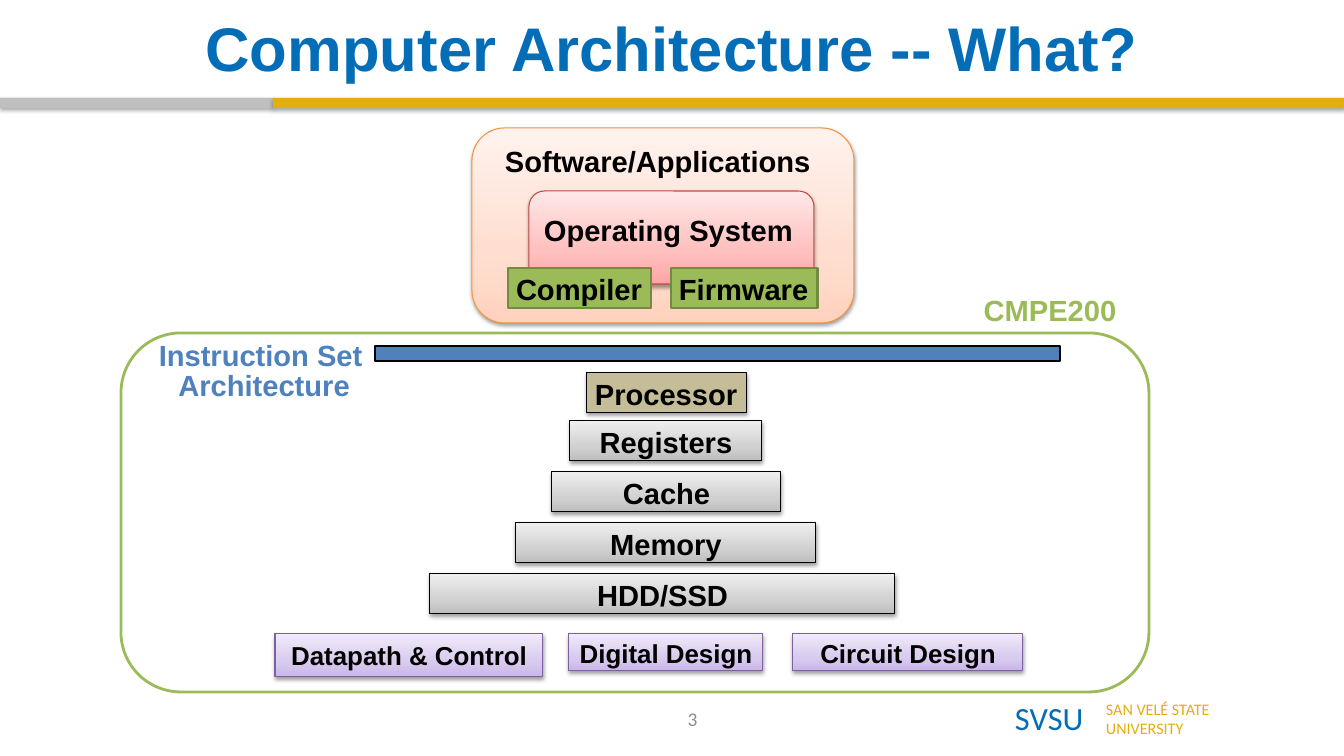
from copy import deepcopy

from lxml.etree import SubElement
from pptx import Presentation
from pptx.dml.color import RGBColor
from pptx.enum.shapes import MSO_SHAPE as Preset
from pptx.enum.text import MSO_ANCHOR as Anchor, MSO_AUTO_SIZE as AutoSize, PP_ALIGN as Align
from pptx.oxml.ns import qn
from pptx.util import Emu, Pt

EMU_PER_PX = 914400 / 100.8

COLORS = {
    "black": "000000", "white": "FFFFFF", "title": "036DB7", "gold": "E7AC11",
    "silver": "BFBFBF", "number": "8C8C8C", "green": "9BBB59",
    "green_edge": "738A42", "blue": "4F81BD", "tan": "C4BD97",
    "orange_edge": "F69240", "red_edge": "BF4C48", "purple_edge": "7D60A0",
}
# Gradients run from bottom to top, with stops at 0, 35 and 100 %
GRADIENTS = {
    "orange": ("FFD2BD", "FFDED0", "FFF2ED"),
    "red": ("FFA6A5", "FFC0BF", "FFE7E7"),
    "purple": ("C9B5E8", "D8CBEE", "F0EAF9"),
    "gray": ("BDBDBD", "D1D1D1", "EEEEEE"),
}
STOPS = (0, 0.35, 1)
LABEL_SIZE = 20.8
DESIGN_SIZE = 18.5


def px(*lengths):
    return [Emu(round(length * EMU_PER_PX)) for length in lengths]


def rgb(name):
    return RGBColor.from_string(COLORS[name])


def set_fill(shape, name):
    fill = shape.fill
    if name not in GRADIENTS:
        fill.solid()
        fill.fore_color.rgb = rgb(name)
        return
    fill.gradient()
    fill.gradient_angle = 90
    stop_list = next(shape._element.spPr.iter(qn("a:gsLst")))
    stop_list.append(deepcopy(stop_list[0]))
    for stop, position, color in zip(fill.gradient_stops, STOPS, GRADIENTS[name]):
        stop.position = position
        stop.color.rgb = RGBColor.from_string(color)


def add_shadow(shape, opacity=38):
    effects = shape._element.spPr.find(qn("a:effectLst"))
    shadow = SubElement(effects, qn("a:outerShdw"), blurRad=str(Pt(3.1)),
                        dist=str(Pt(1.6)), dir="5400000", rotWithShape="0")
    color = SubElement(shadow, qn("a:srgbClr"), val=COLORS["black"])
    SubElement(color, qn("a:alpha"), val=str(opacity * 1000))


def set_text(shape, text, size=LABEL_SIZE, color="black", font="Arial", bold=True,
             align=Align.LEFT, spacing=1.02, insets=(8, 3), wrap=False,
             anchor=Anchor.TOP, grow=True):
    frame = shape.text_frame
    frame.word_wrap = wrap
    frame.auto_size = AutoSize.SHAPE_TO_FIT_TEXT if grow else AutoSize.NONE
    frame.vertical_anchor = anchor
    frame.margin_left, frame.margin_top = px(*insets)
    frame.margin_right, frame.margin_bottom = px(*insets)
    frame.text = text
    for paragraph in frame.paragraphs:
        paragraph.alignment = align
        paragraph.line_spacing = spacing
        paragraph.font.name = font
        paragraph.font.size = Pt(size)
        paragraph.font.bold = bold
        paragraph.font.color.rgb = rgb(color)


def add_text(slide, box, text, **style):
    set_text(slide.shapes.add_textbox(*px(*box)), text, **style)


def add_block(slide, box, fill, edge=None, weight=0.75, preset=Preset.RECTANGLE,
              shadow=38):
    shape = slide.shapes.add_shape(preset, *px(*box))
    shape.shadow.inherit = False
    set_fill(shape, fill)
    if edge:
        shape.line.color.rgb = rgb(edge)
        shape.line.width = Pt(weight)
    else:
        shape.line.fill.background()
    if shadow:
        add_shadow(shape, shadow)
    return shape


def add_frame(slide):
    # University name, title, two-colour rule and slide number
    plain = dict(bold=False, font="Calibri", spacing=1, insets=(10, 5))
    add_text(slide, (1005, 693, 91, 49), "SVSU", size=23.1, color="title", **plain)
    add_text(slide, (1096, 694, 127, 49), "SAN VELÉ STATE\nUNIVERSITY",
             size=11.5, color="gold", **plain)
    for left, width, color in ((0, 273, "silver"), (273, 1071, "gold")):
        add_block(slide, (left, 98, width, 10), color, shadow=35)
    centered = dict(align=Align.CENTER, anchor=Anchor.MIDDLE, wrap=True, grow=False)
    add_text(slide, (132, 8, 1080, 77), "Computer Architecture -- What?", size=44,
             color="title", spacing=1, **centered)
    add_text(slide, (536, 699, 313, 40), "3", size=13.8, color="number",
             **plain, **centered)


def add_software(slide):
    # Applications around the operating system, with the tools below
    rounded = Preset.ROUNDED_RECTANGLE
    add_block(slide, (472, 128, 382, 195), "orange", "orange_edge", preset=rounded)
    add_text(slide, (497, 140, 324, 40), "Software/Applications")
    add_block(slide, (529, 191, 285, 93), "red", "red_edge", preset=rounded)
    add_text(slide, (536, 209, 267, 40), "Operating System")
    for left, width, name in ((508, 143, "Compiler"), (671, 147, "Firmware")):
        tool = add_block(slide, (left, 268, width, 40), "green", "green_edge", 2,
                         shadow=0)
        set_text(tool, name)


def add_hardware(slide):
    # Instruction set bar and its label
    add_block(slide, (375, 346, 685, 15), "blue", "black", 1, shadow=0)
    heading = dict(align=Align.CENTER, spacing=0.85)
    add_text(slide, (150, 340, 221, 66), "Instruction Set\n Architecture",
             color="blue", **heading)
    add_text(slide, (975, 295, 150, 36), "CMPE200", color="green", **heading)

    # Processor above the storage pyramid
    processor = add_block(slide, (587, 373, 160, 40), "tan", "black")
    set_text(processor, "Processor")
    levels = ((570, 192, "Registers"), (552, 229, "Cache"),
              (516, 300, "Memory"), (430, 465, "HDD/SSD"))
    for index, (left, width, name) in enumerate(levels):
        level = add_block(slide, (left, 421 + 51 * index, width, 40), "gray", "black")
        set_text(level, name, align=Align.CENTER, wrap=True)

    # Design layers
    designs = (
        (275, 268, 43, "Datapath & Control", dict(insets=(11, 6), spacing=1)),
        (569, 194, 37, "Digital Design", dict(wrap=True)),
        (793, 230, 37, "Circuit Design", dict(wrap=True)),
    )
    for left, width, height, name, style in designs:
        design = add_block(slide, (left, 634, width, height), "purple", "purple_edge")
        set_text(design, name, size=DESIGN_SIZE, align=Align.CENTER, **style)


def main():
    presentation = Presentation()
    presentation.slide_width, presentation.slide_height = px(1344, 756)
    slide = presentation.slides.add_slide(presentation.slide_layouts[6])
    add_frame(slide)
    # Course scope
    add_block(slide, (121, 333, 1028, 359), "white", "green", 2,
              preset=Preset.ROUNDED_RECTANGLE, shadow=0)
    add_software(slide)
    add_hardware(slide)
    presentation.save("out.pptx")


if __name__ == "__main__":
    main()
